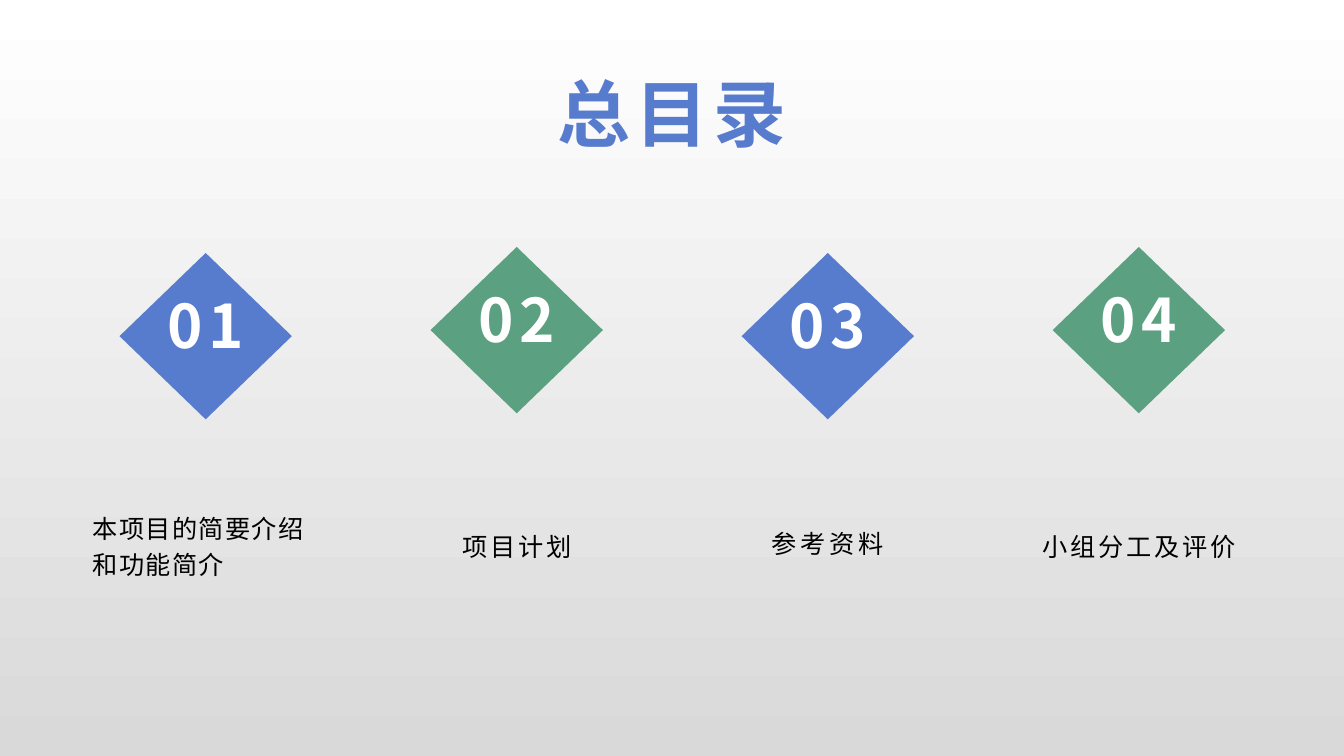
from lxml.etree import SubElement
from pptx import Presentation
from pptx.dml.color import RGBColor
from pptx.enum.shapes import MSO_SHAPE
from pptx.enum.text import MSO_ANCHOR, PP_ALIGN
from pptx.oxml.ns import qn
from pptx.util import Inches, Pt

HUES = {"blue": "577CCE", "green": "5BA080", "white": "FFFFFF",
        "black": "000000", "grey": "D9D9D9"}
FACE = "Noto Sans CJK SC"
WIDE, HIGH = 13.33, 7.5

deck = Presentation()
deck.slide_width, deck.slide_height = Inches(WIDE), Inches(HIGH)
slide = deck.slides.add_slide(deck.slide_layouts[6])


def color(name):
    return RGBColor.from_string(HUES[name])


def write(text, mid, top, width, height, size, hue, gap, bold=False,
          anchor=MSO_ANCHOR.MIDDLE, **style):
    """Add a text box centred on mid; gap is the letter spacing in points."""
    box = slide.shapes.add_textbox(Inches(mid - width / 2), Inches(top),
                                   Inches(width), Inches(height))
    frame = box.text_frame
    frame.word_wrap = True
    frame.vertical_anchor = anchor
    para = frame.paragraphs[0]
    for key, value in style.items():
        setattr(para, key, value)
    run = para.add_run()
    run.text = text
    for key, value in {"size": Pt(size), "bold": bold, "name": FACE}.items():
        setattr(run.font, key, value)
    run.font.color.rgb = color(hue)
    props = run.font._element
    props.set("spc", str(round(gap * 100)))
    SubElement(props, qn("a:ea"), typeface=FACE)


# Background fades downwards
back = slide.background.fill
back.gradient()
back.gradient_angle = 270
for stop, hue in zip(back.gradient_stops, ("white", "grey")):
    stop.color.rgb = color(hue)

write("总目录", WIDE / 2, 0.4, 3.15, 1.43, 52, "blue", 3.6, bold=True,
      alignment=PP_ALIGN.CENTER)

# Four columns: diamond, number, label
FIRST, PITCH = 2.04, 3.085
GEM_W, GEM_H = 1.71, 1.65
MID, LEFT = PP_ALIGN.CENTER, PP_ALIGN.LEFT
topics = [("本项目的简要介绍和功能简介", LEFT, 1.2, 1),
          ("项目计划", MID, 1.2, 2),
          ("参考资料", MID, 1.0, 2.8),
          ("小组分工及评价", MID, 1.2, 2)]
rows = [("blue", 2.51), ("green", 2.45)]

for col, (label, align, lead, gap) in enumerate(topics):
    mid = FIRST + col * PITCH
    hue, top = rows[col % 2]
    gem = slide.shapes.add_shape(MSO_SHAPE.DIAMOND, Inches(mid - GEM_W / 2),
                                 Inches(top), Inches(GEM_W), Inches(GEM_H))
    gem.shadow.inherit = False
    gem.fill.solid()
    gem.fill.fore_color.rgb = color(hue)
    gem.line.fill.background()
    write(f"{col + 1:02}", mid, top + 0.4, 1.74, 0.84, 42.9, "white", 3.6,
          bold=True, anchor=MSO_ANCHOR.TOP, alignment=MID,
          line_spacing=0.88, space_after=Pt(8))
    write(label, mid, 4.78, 2.44, 1.23, 18, "black", gap, alignment=align,
          line_spacing=lead, space_after=Pt(8))

deck.save("out.pptx")
